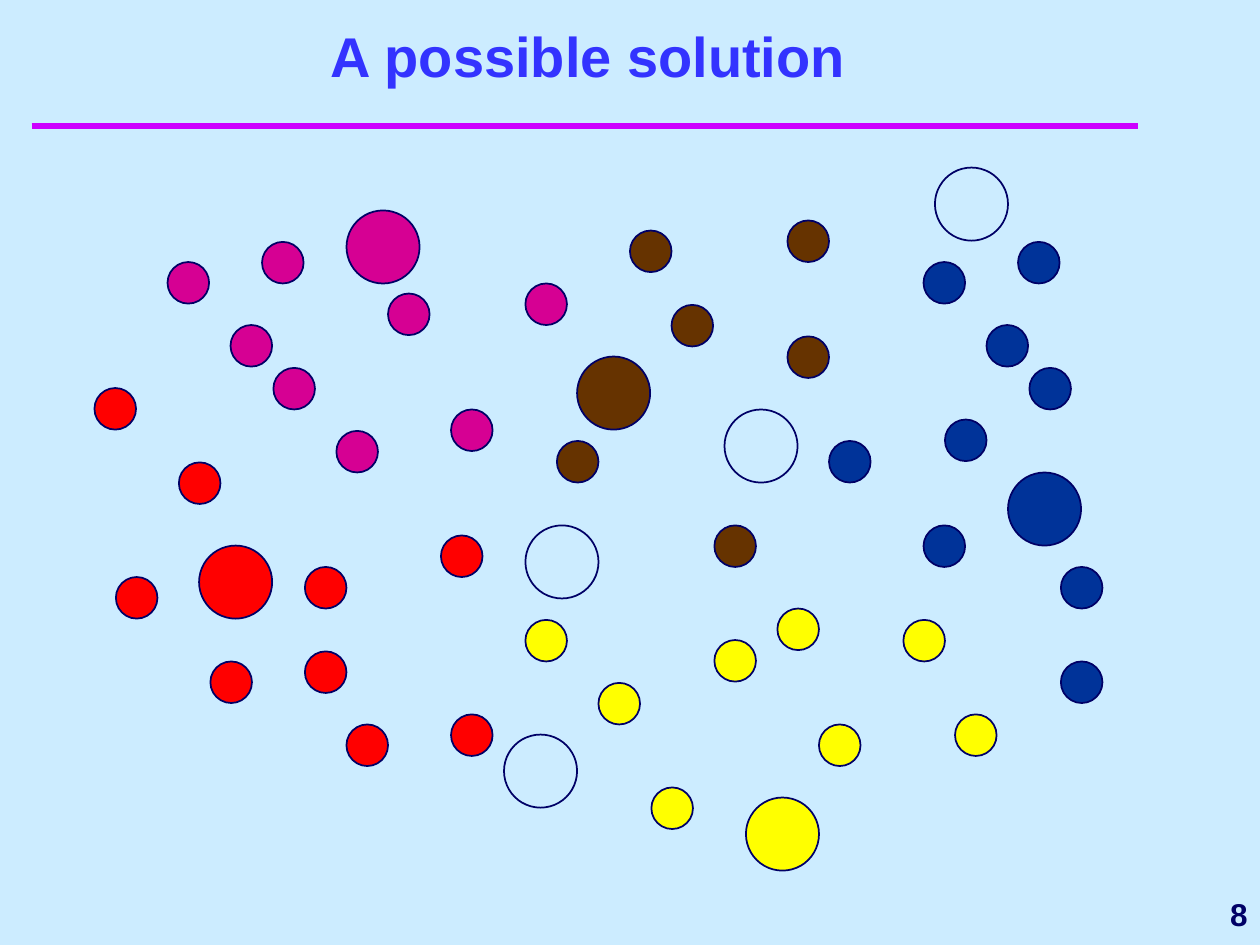
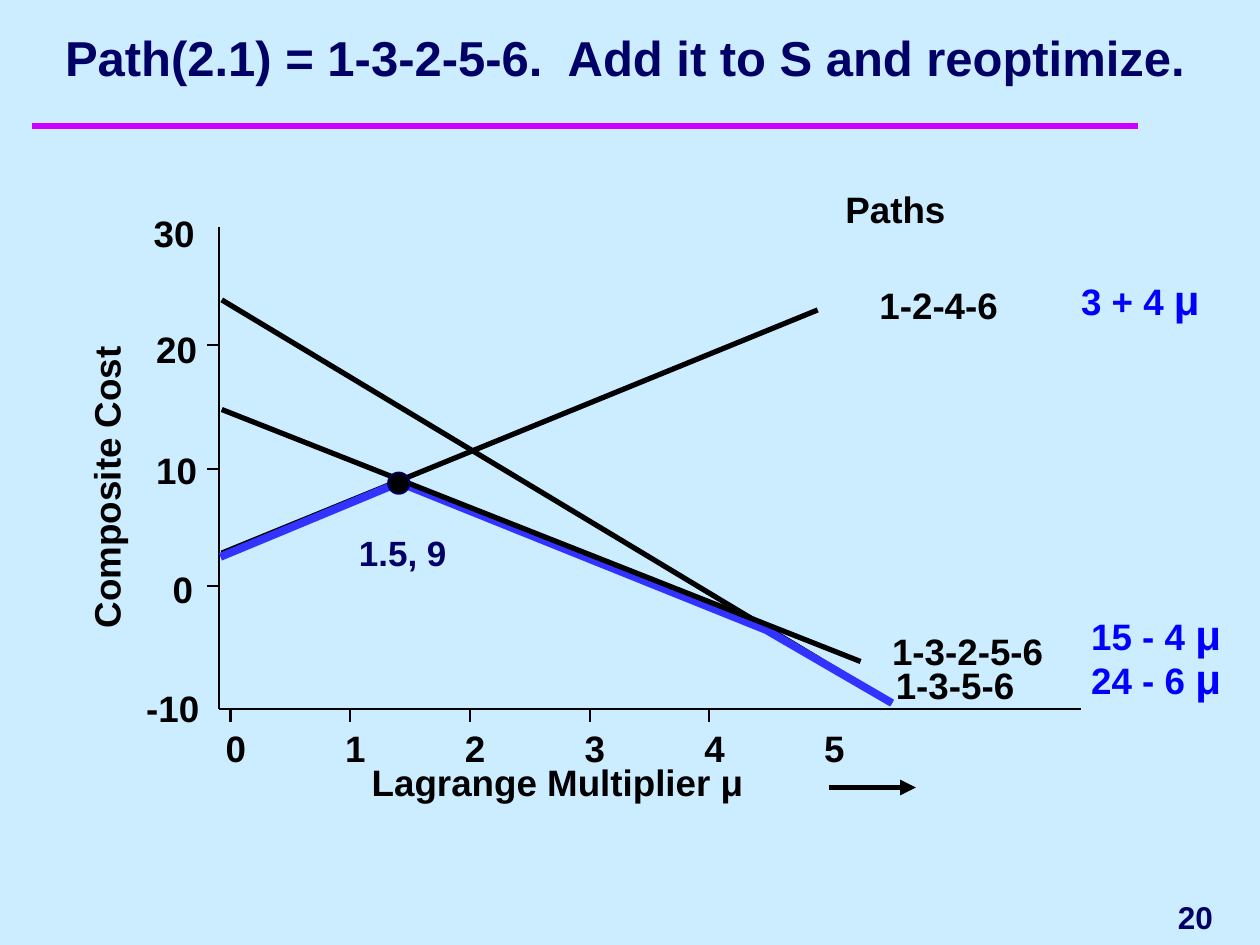
from lxml.etree import SubElement
from pptx import Presentation
from pptx.dml.color import RGBColor
from pptx.enum.shapes import MSO_CONNECTOR as Connector, MSO_SHAPE as Shape
from pptx.enum.text import MSO_ANCHOR as Anchor, MSO_AUTO_SIZE as AutoSize, PP_ALIGN as Align
from pptx.oxml.ns import qn
from pptx.util import Inches, Pt

COLORS = {name: RGBColor.from_string(code) for name, code in {
    "sky": "CCECFF", "violet": "CC00FF", "navy": "000066", "title": "3333FF",
    "black": "000000", "formula": "0000FF", "magenta": "D60093", "red": "FF0000",
    "brown": "663300", "yellow": "FFFF00", "blue": "003399"}.items()}
FONT = {"name": "Arial", "bold": True}


def add_text(slide, box, text, size=21, color="black", align=Align.LEFT,
             anchor=Anchor.TOP, inset=(0, 0), wrap=False):
    """Add one line of text; a final μ in a formula is set larger."""
    label = slide.shapes.add_textbox(*map(Inches, box))
    frame = label.text_frame
    side, edge = map(Inches, inset)
    frame_format = {"margin_left": side, "margin_right": side, "margin_top": edge,
                    "margin_bottom": edge, "word_wrap": wrap,
                    "vertical_anchor": anchor, "auto_size": AutoSize.NONE}
    for key, value in frame_format.items():
        setattr(frame, key, value)
    line = frame.paragraphs[0]
    line.alignment = align
    parts = [(text, size)]
    if color == "formula":
        parts = [(text[:-1], size), (text[-1], 24)]
    for part, part_size in parts:
        run = line.add_run()
        run.text = part
        for key, value in {**FONT, "size": Pt(part_size)}.items():
            setattr(run.font, key, value)
        run.font.color.rgb = COLORS[color]
    return label


def add_line(slide, start, end, width=1.25, color="black"):
    line = slide.shapes.add_connector(Connector.STRAIGHT, *map(Inches, (*start, *end)))
    line.line.color.rgb = COLORS[color]
    line.line.width = Pt(width)
    SubElement(line._element.spPr, qn("a:effectLst"))
    return line


deck = Presentation()
deck.slide_width, deck.slide_height = Inches(10), Inches(7.5)

PADDED = {"inset": (0.1, 0.05), "color": "navy"}
pages = []
for _ in range(2):
    page = deck.slides.add_slide(deck.slide_layouts[6])
    page.background.fill.solid()
    page.background.fill.fore_color.rgb = COLORS["sky"]
    add_line(page, (0.25, 1), (9.03, 1), 4, "violet")
    pages.append(page)
clusters, costs = pages

# Slide 1: clusters of points, each with one large centre
add_text(clusters, (8.42, 7, 1.58, 0.5), "8", 18, align=Align.RIGHT,
         anchor=Anchor.MIDDLE, **PADDED)
add_text(clusters, (0.42, 0.33, 8.5, 0.42), "A possible solution", 32, "title",
         Align.CENTER, Anchor.BOTTOM, (0.1, 0.05), True)

POINT, CENTRE = 0.33, 0.58
points = {
    "magenta": [(1.33, 2.08), (2.08, 1.92), (1.83, 2.58), (3.08, 2.33), (2.17, 2.92),
                (2.67, 3.42), (3.58, 3.25), (4.17, 2.25)],
    "red": [(0.75, 3.08), (1.67, 5.25), (1.42, 3.67), (3.5, 4.25), (2.42, 4.5),
            (3.58, 5.67), (2.75, 5.75), (0.92, 4.58), (2.42, 5.17)],
    "brown": [(5.33, 2.42), (5.67, 4.17), (6.25, 2.67), (4.42, 3.5), (5, 1.83),
              (6.25, 1.75)],
    "yellow": [(7.17, 4.92), (4.17, 4.92), (5.67, 5.08), (6.5, 5.75), (7.58, 5.67),
               (6.17, 4.83), (4.75, 5.42), (5.17, 6.25)],
    "blue": [(7.5, 3.33), (7.33, 2.08), (6.58, 3.5), (8.08, 1.92), (7.83, 2.58),
             (8.17, 2.92), (7.33, 4.17), (8.42, 4.5), (8.42, 5.25)],
}
centres = {
    "red": [(1.58, 4.33)], "brown": [(4.58, 2.83)], "magenta": [(2.75, 1.67)],
    "yellow": [(5.92, 6.33)], "blue": [(8, 3.75)],
    "sky": [(5.75, 3.25), (4, 5.83), (4.17, 4.17), (7.42, 1.33)],
}
circles = [(clusters, x, y, diameter, color)
           for group, diameter in ((points, POINT), (centres, CENTRE))
           for color, places in group.items() for x, y in places]

# Slide 2: axes of the cost diagram
AXIS_X, AXIS_Y = 1.74, 5.63
add_line(costs, (AXIS_X, 1.8), (AXIS_X, AXIS_Y))
add_line(costs, (AXIS_X, AXIS_Y), (8.58, AXIS_Y))
for tick_y in (2.74, 3.72, 4.65):
    add_line(costs, (AXIS_X - 0.1, tick_y), (AXIS_X, tick_y))
for multiplier in range(6):
    offset = 0.95 * multiplier
    if multiplier < 5:
        add_line(costs, (1.83 + offset, AXIS_Y + 0.1), (1.83 + offset, AXIS_Y))
    add_text(costs, (1.79 + offset, 5.76, 0.16, 0.35), str(multiplier))

for left, top, width, text in [
        (1.22, 1.67, 0.33, "30"), (1.24, 2.59, 0.33, "20"), (1.24, 3.55, 0.33, "10"),
        (1.37, 4.5, 0.16, "0"), (1.16, 5.44, 0.42, "-10"),
        (2.95, 6.03, 2.95, "Lagrange Multiplier μ"), (6.71, 1.48, 0.79, "Paths"),
        (6.98, 2.24, 0.94, "1-2-4-6"), (7.08, 4.99, 1.2, "1-3-2-5-6"),
        (7.11, 5.26, 0.94, "1-3-5-6")]:
    add_text(costs, (left, top, width, 0.35), text)
add_text(costs, (-0.32, 3.65, 2.32, 0.35), "Composite Cost").rotation = 270
for left, top, width, formula in [(8.58, 2.17, 0.94, "3 + 4 μ"),
                                  (8.66, 4.83, 1.03, "15 - 4 μ"),
                                  (8.66, 5.18, 1.03, "24 - 6 μ")]:
    add_text(costs, (left, top, width, 0.4), formula, color="formula")

arrow = add_line(costs, (6.58, 6.25), (7.27, 6.25), 3)
SubElement(arrow.line._get_or_add_ln(), qn("a:tailEnd"), type="triangle")

# Path costs, with their lower envelope beneath the newest path
add_line(costs, (1.76, 4.39), (6.49, 2.46), 3)
add_line(costs, (1.76, 2.38), (7.08, 5.58), 3)
start, *corners = [(Inches(x), Inches(y)) for x, y in
                   [(1.75, 4.42), (3.17, 3.83), (6.08, 5), (7.08, 5.58)]]
outline = costs.shapes.build_freeform(*start)
outline.add_line_segments(corners, close=False)
envelope = outline.convert_to_shape()
envelope.shadow.inherit = False
envelope.fill.background()
envelope.line.color.rgb = COLORS["title"]
envelope.line.width = Pt(4.5)
add_line(costs, (1.76, 3.25), (6.83, 5.25), 3)

add_text(costs, (0.17, 0.17, 9.58, 0.57),
         "Path(2.1) = 1-3-2-5-6.  Add it to S and reoptimize.", 28,
         align=Align.CENTER, wrap=True, **PADDED)
add_text(costs, (9.25, 7.08, 0.67, 0.4), "20", 18, wrap=True, **PADDED)
add_text(costs, (2.75, 4.17, 1.25, 0.44), "1.5, 9", 20, wrap=True, **PADDED)

# Points and centres of slide 1, and the optimum of slide 2
circles.append((costs, 3.08, 3.75, 0.17, "black"))
for page, x, y, diameter, color in circles:
    circle = page.shapes.add_shape(Shape.OVAL, *map(Inches, (x, y, diameter, diameter)))
    circle.shadow.inherit = False
    circle.fill.solid()
    circle.fill.fore_color.rgb = COLORS[color]
    circle.line.color.rgb = COLORS["navy"]
    circle.line.width = Pt(1)

deck.save("out.pptx")
